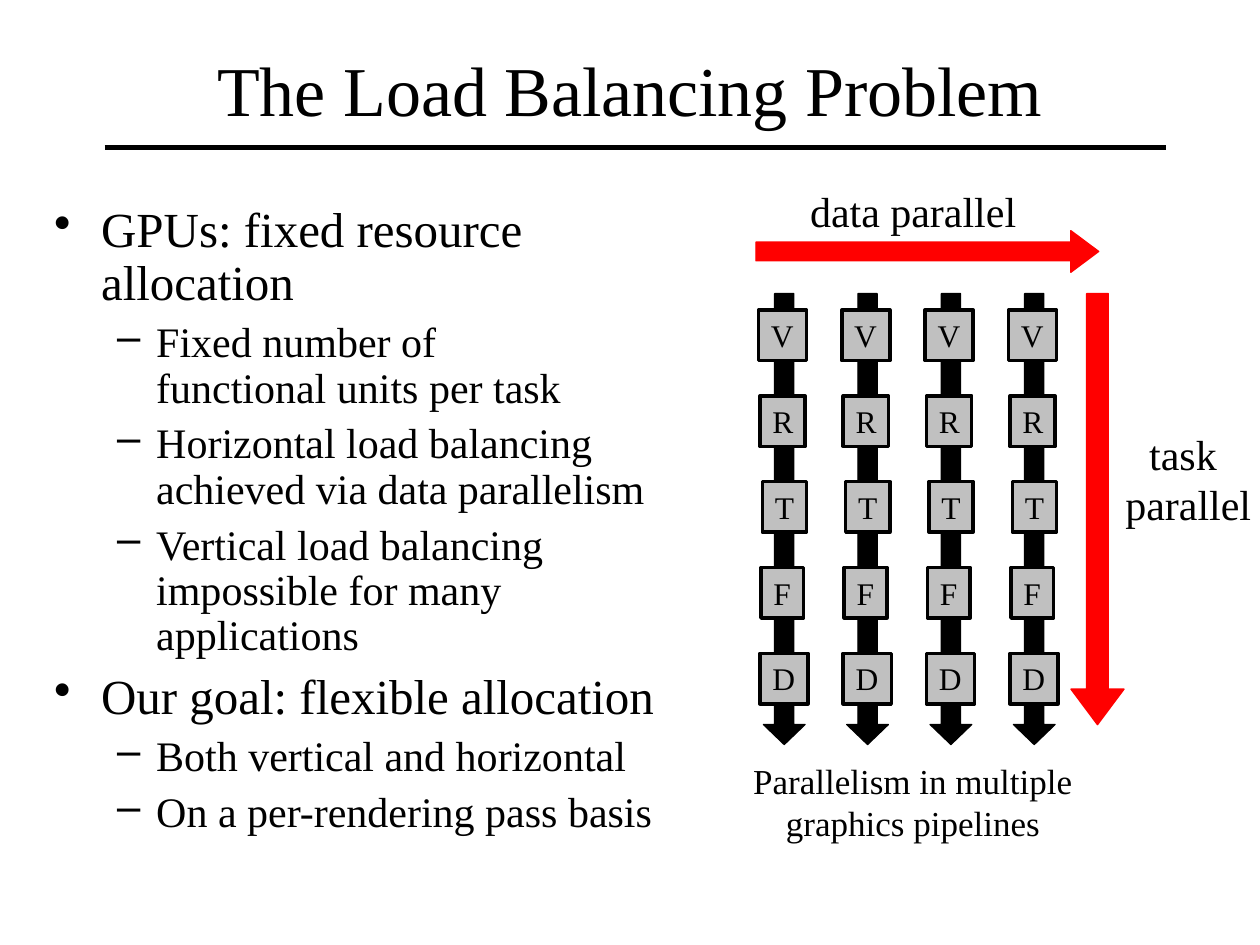
from dataclasses import dataclass

from lxml import etree
from pptx import Presentation
from pptx import util as u
from pptx.dml.color import RGBColor
from pptx.enum import shapes, text
from pptx.oxml.ns import qn


@dataclass(frozen=True)
class Theme:
    font: str = "Times New Roman"
    ink: RGBColor = RGBColor(0, 0, 0)
    accent: RGBColor = RGBColor(255, 0, 0)
    box: RGBColor = RGBColor(192, 192, 192)
    title: int = 40
    body: tuple = (28, 24)
    label: int = 24
    caption: int = 20
    stage: int = 18


# Per outline level: bullet, left margin and hanging indent in cm, space before in pt
LEVELS = [("•", 0.95, 0.95, 7), ("–", 2.06, 0.79, 6)]


class SlideBuilder:
    def __init__(self, slide, theme):
        self.slide = slide
        self.theme = theme

    def style(self, paragraph, size, align=text.PP_ALIGN.LEFT):
        paragraph.alignment = align
        for run in paragraph.runs:
            run.font.name = self.theme.font
            run.font.size = u.Pt(size)
            run.font.color.rgb = self.theme.ink

    def text_box(self, box, content, size, align=text.PP_ALIGN.LEFT,
                 anchor=text.MSO_ANCHOR.TOP, wrap=True):
        shape = self.slide.shapes.add_textbox(*map(u.Cm, box))
        text_frame = shape.text_frame
        text_frame.word_wrap = wrap
        text_frame.vertical_anchor = anchor
        text_frame.text = content
        for paragraph in text_frame.paragraphs:
            self.style(paragraph, size, align)

    def outline(self, box, items):
        text_frame = self.slide.shapes.add_textbox(*map(u.Cm, box)).text_frame
        text_frame.word_wrap = True
        for index, (level, content) in enumerate(items):
            paragraph = text_frame.add_paragraph() if index else text_frame.paragraphs[0]
            paragraph.text = content
            bullet, margin, hanging, space = LEVELS[level]
            properties = paragraph._p.get_or_add_pPr()
            properties.set("marL", str(u.Cm(margin)))
            properties.set("indent", str(-u.Cm(hanging)))
            etree.SubElement(properties, qn("a:buChar")).set("char", bullet)
            paragraph.level = level
            paragraph.line_spacing = 0.9
            if index:
                paragraph.space_before = u.Pt(space)
            self.style(paragraph, self.theme.body[level])

    def shape(self, kind, box, fill, line, width, parent=None):
        parent = parent or self.slide
        shape = parent.shapes.add_shape(kind, *map(u.Cm, box))
        shape.shadow.inherit = False
        shape.fill.solid()
        shape.fill.fore_color.rgb = fill
        shape.line.color.rgb = line
        shape.line.width = u.Pt(width)
        return shape

    def arrow(self, kind, box, color, adjustments, parent=None):
        shape = self.shape(kind, box, color, color, 0.75, parent)
        for index, value in enumerate(adjustments):
            shape.adjustments[index] = value

    def stage(self, box, letter, parent):
        shape = self.shape(shapes.MSO_SHAPE.RECTANGLE, box, self.theme.box,
                           self.theme.ink, 2, parent)
        text_frame = shape.text_frame
        text_frame.word_wrap = False
        text_frame.vertical_anchor = text.MSO_ANCHOR.TOP
        text_frame.text = letter
        self.style(text_frame.paragraphs[0], self.theme.stage)

    def pipeline(self, left, top, stages):
        group = self.slide.shapes.add_group_shape()
        self.arrow(shapes.MSO_SHAPE.DOWN_ARROW, (left, top, 0.84, 9.09),
                   self.theme.ink, (0.46, 0.48), group)
        for row, (letter, offset, width) in enumerate(stages):
            box = (left + offset, top + 0.33 + row * 1.73, width, 1.02)
            self.stage(box, letter, group)

    def rule(self, left, right, y, width):
        line = self.slide.shapes.add_connector(
            shapes.MSO_CONNECTOR.STRAIGHT, *map(u.Cm, (left, y, right, y)))
        line.line.color.rgb = self.theme.ink
        line.line.width = u.Pt(width)
        etree.SubElement(line._element.spPr, qn("a:effectLst"))


def main():
    presentation = Presentation()
    presentation.slide_width = u.Cm(25.4)
    presentation.slide_height = u.Cm(19.05)
    theme = Theme()
    builder = SlideBuilder(
        presentation.slides.add_slide(presentation.slide_layouts[6]), theme)
    center = text.PP_ALIGN.CENTER

    # Title
    builder.text_box((1.27, 0.2, 22.86, 3.18), "The Load Balancing Problem",
                     theme.title, center, text.MSO_ANCHOR.MIDDLE)

    # Outline
    builder.outline((0.84, 4.01, 13.54, 13.97), [
        (0, "GPUs: fixed resource allocation"),
        (1, "Fixed number of \nfunctional units per task"),
        (1, "Horizontal load balancing achieved via data parallelism"),
        (1, "Vertical load balancing\nimpossible for many applications"),
        (0, "Our goal: flexible allocation"),
        (1, "Both vertical and horizontal"),
        (1, "On a per-rendering pass basis"),
    ])

    # Pipelines: letter, offset from the arrow and width of each stage
    stages = [("V", -0.1, 0.97), ("R", -0.07, 0.91), ("T", -0.02, 0.89),
              ("F", -0.05, 0.86), ("D", -0.07, 0.97)]
    for column in range(4):
        builder.pipeline(15.39 + column * 1.68, 5.92, stages)

    # Directions of parallelism
    builder.arrow(shapes.MSO_SHAPE.RIGHT_ARROW, (15.24, 4.65, 6.91, 0.84),
                  theme.accent, (0.45, 0.67))
    builder.arrow(shapes.MSO_SHAPE.DOWN_ARROW, (21.59, 5.92, 1.07, 8.69),
                  theme.accent, (0.41, 0.67))

    # Labels and caption
    builder.text_box((22.43, 8.51, 3.05, 2.29), "task \nparallel",
                     theme.label, center, wrap=False)
    builder.text_box((16.08, 3.61, 4.67, 1.27), "data parallel",
                     theme.label, wrap=False)
    builder.text_box((14.81, 15.19, 7.19, 1.96),
                     "Parallelism in multiple graphics pipelines",
                     theme.caption, center)

    # Line under the title
    builder.rule(2.11, 23.5, 2.97, 3)

    presentation.save("out.pptx")


if __name__ == "__main__":
    main()
